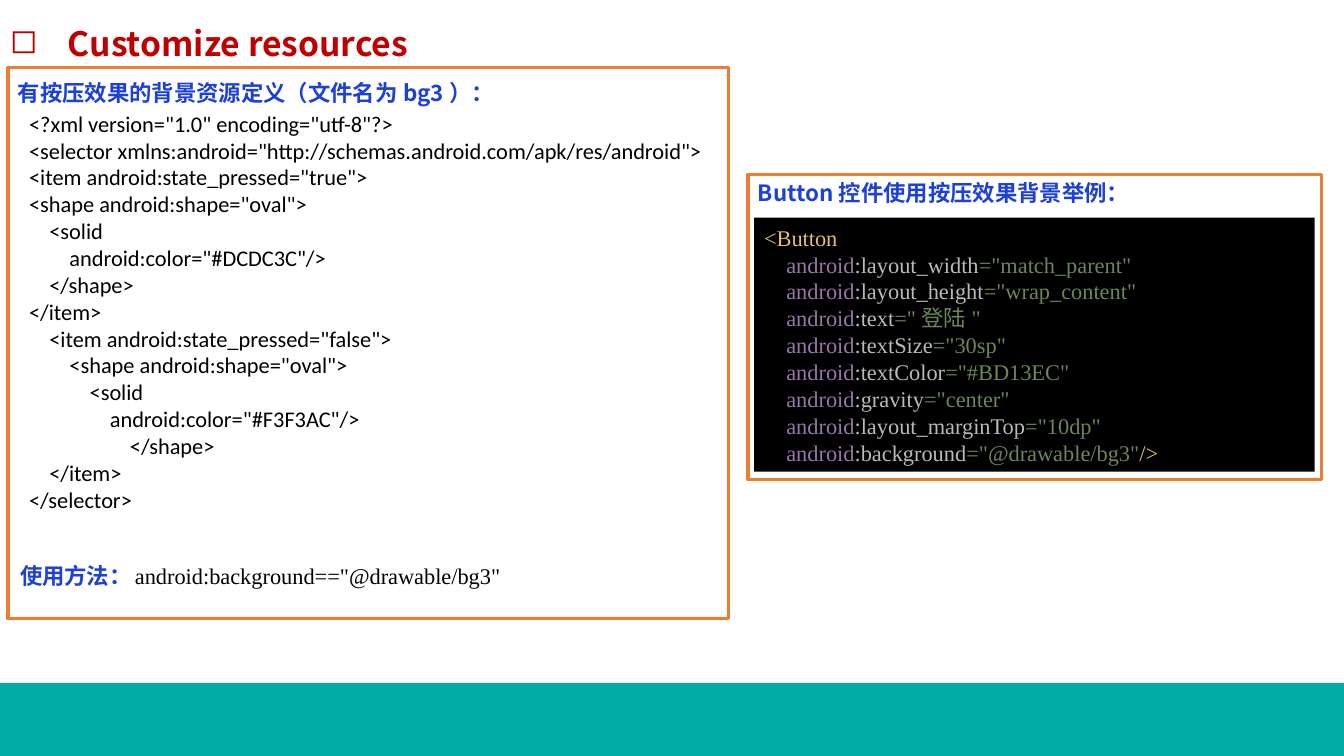
"""Build the slide on button backgrounds with a pressed effect."""
from lxml.etree import SubElement
from pptx import Presentation
from pptx.dml.color import RGBColor
from pptx.enum.shapes import MSO_SHAPE
from pptx.enum.text import MSO_ANCHOR, MSO_AUTO_SIZE, PP_ALIGN
from pptx.oxml.ns import qn
from pptx.util import Inches, Pt

THEME = {
    "teal": "01ABA8", "orange": "ED7D31", "red": "C00000", "blue": "1D41D5",
    "black": "000000", "gold": "E8BF6A", "purple": "9876AA",
    "grey": "BABABA", "green": "6A8759",
    "head": "Noto Sans CJK SC", "code": "Calibri", "serif": "Times New Roman",
    "big": 24, "small": 16, "line": 2.25,
}

deck = Presentation()
deck.slide_width, deck.slide_height = Inches(13.33), Inches(7.5)
slide = deck.slides.add_slide(deck.slide_layouts[6])
col, row = deck.slide_width / 100, deck.slide_height / 100


def block(x, y, wide, high, fill=None, line=None, plain=False):
    """Add a text box or a rectangle, placed in percent of the slide."""
    area = [int(n) for n in (x * col, y * row, wide * col, high * row)]
    if plain:
        shape = slide.shapes.add_textbox(*area)
    else:
        shape = slide.shapes.add_shape(MSO_SHAPE.RECTANGLE, *area)
        shape.shadow.inherit = False
        shape.fill.background()
        shape.line.fill.background()
    if fill:
        shape.fill.solid()
        shape.fill.fore_color.rgb = RGBColor.from_string(THEME[fill])
    if line:
        shape.line.color.rgb = RGBColor.from_string(THEME[line])
        shape.line.width = Pt(THEME["line"])
    frame = shape.text_frame
    frame.word_wrap = True
    if plain:
        frame.auto_size = MSO_AUTO_SIZE.SHAPE_TO_FIT_TEXT
    return frame


def write(para, text, face, color, size="small", bold=False):
    """Add one run to a paragraph."""
    run = para.add_run()
    run.text = text
    font = run.font
    font.size, font.bold, font.name = Pt(THEME[size]), bold, THEME[face]
    font.color.rgb = RGBColor.from_string(THEME[color])
    SubElement(run._r.get_or_add_rPr(), qn("a:ea"), typeface=THEME["head"])


block(0, 90.35, 100, 9.65, fill="teal")

title = block(0, -2.93, 95.95, 12.13, plain=True).paragraphs[0]
title.line_spacing = 2.0
props = title._p.get_or_add_pPr()
props.set("marL", str(Inches(0.5)))
props.set("indent", str(-Inches(0.5)))
SubElement(props, qn("a:buChar"), char="◻")
write(title, " Customize resources", "head", "red", "big", True)

block(0.6, 8.93, 53.64, 72.93, line="orange")
block(55.66, 23.07, 42.69, 40.4, line="orange")

HEADS = [
    (0.6, 9.87, 35.41, "有按压效果的背景资源定义（文件名为bg3）："),
    (0.75, 73.73, 10.05, "使用方法："),
    (55.66, 23.07, 35.41, "Button控件使用按压效果背景举例："),
]
for x, y, wide, text in HEADS:
    head = block(x, y, wide, 4.93, plain=True)
    write(head.paragraphs[0], text, "head", "blue", bold=True)

usage = block(9.3, 73.73, 30.61, 4.93, plain=True)
write(usage.paragraphs[0], 'android:background=="@drawable/bg3"', "serif", "black")

XML = """<?xml version="1.0" encoding="utf-8"?>
<selector xmlns:android="http://schemas.android.com/apk/res/android">
<item android:state_pressed="true">
<shape android:shape="oval">
    <solid
        android:color="#DCDC3C"/>
    </shape>
</item>
    <item android:state_pressed="false">
        <shape android:shape="oval">
            <solid
                android:color="#F3F3AC"/>
                    </shape>
    </item>
</selector>"""
code = block(1.43, 13.87, 55.66, 55.2, plain=True)
for num, text in enumerate(XML.splitlines()):
    para = code.add_paragraph() if num else code.paragraphs[0]
    para.alignment = PP_ALIGN.JUSTIFY
    write(para, text, "code", "black")

ATTRS = [
    ("layout_width", "match_parent"),
    ("layout_height", "wrap_content"),
    ("text", "登陆"),
    ("textSize", "30sp"),
    ("textColor", "#BD13EC"),
    ("gravity", "center"),
    ("layout_marginTop", "10dp"),
    ("background", "@drawable/bg3"),
]
button = block(56.11, 28.8, 41.71, 33.6, fill="black")
button.vertical_anchor = MSO_ANCHOR.MIDDLE
para = button.paragraphs[0]
para.alignment = PP_ALIGN.LEFT
write(para, "<Button", "serif", "gold")
for name, value in ATTRS:
    para = button.add_paragraph()
    para.alignment = PP_ALIGN.LEFT
    write(para, "    ", "serif", "gold")
    write(para, "android", "serif", "purple")
    write(para, f":{name}", "serif", "grey")
    write(para, f'="{value}"', "serif", "green")
write(para, "/>", "serif", "gold")

deck.save("out.pptx")
